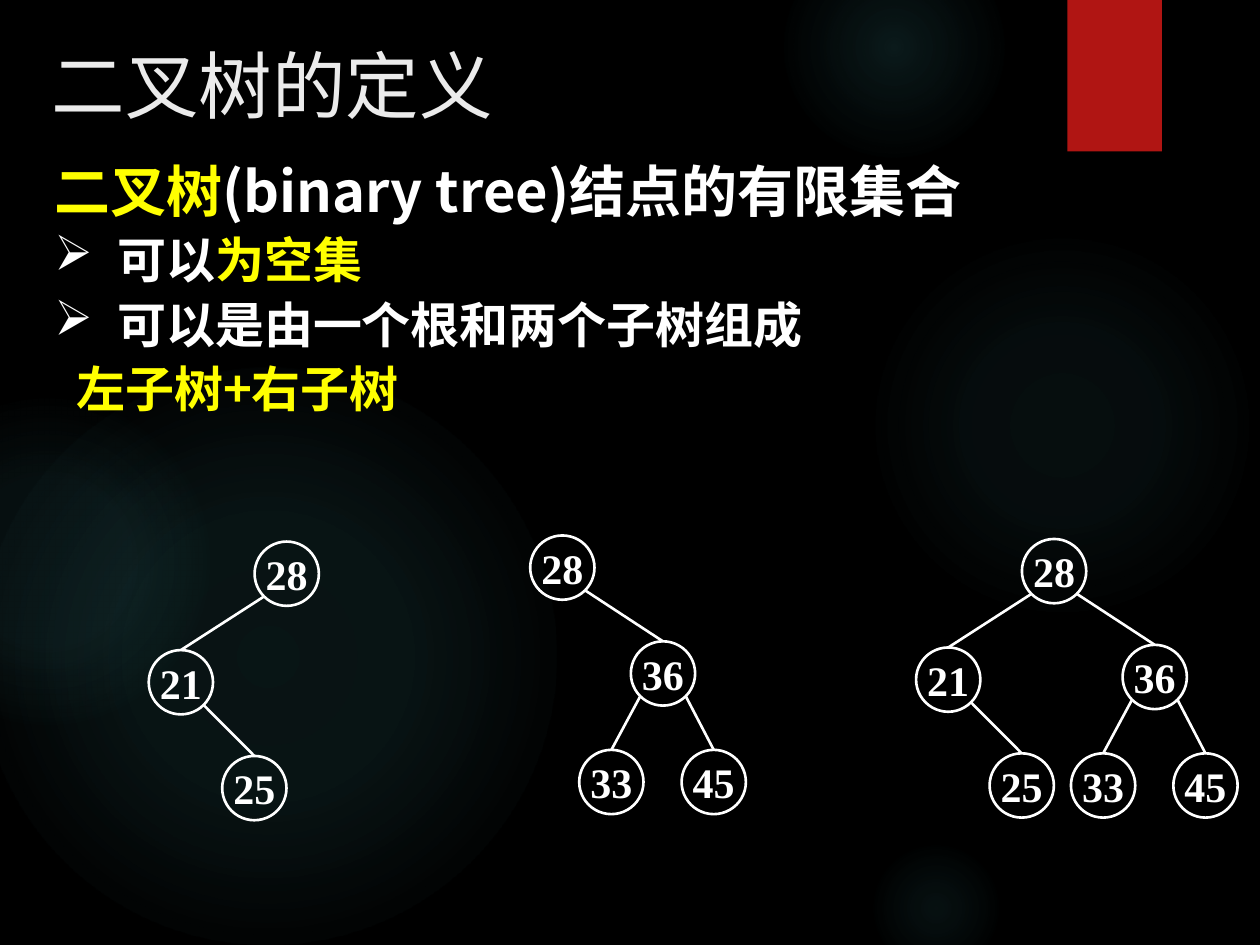
from dataclasses import dataclass
from math import sqrt

from lxml.etree import SubElement
from pptx import Presentation
from pptx.dml.color import RGBColor
from pptx.enum.shapes import MSO_CONNECTOR, MSO_SHAPE
from pptx.enum.text import MSO_ANCHOR, PP_ALIGN
from pptx.oxml import parse_xml
from pptx.oxml.ns import nsdecls, qn
from pptx.util import Pt

COLORS = {
    "background": "000000",
    "glow": "50B9C1",
    "ribbon": "B01513",
    "title": "EBEBEB",
    "text": "FFFFFF",
    "key": "FFFF00",
}
LATIN_FONT = "Times New Roman"
CHINESE_FONT = "Noto Sans CJK SC"
NODE_SIZE = 36.75
LINE_WIDTH = 1.5


@dataclass(frozen=True)
class Glow:
    left: float
    top: float
    size: float
    stops: tuple[tuple[int, int], ...]  # (position %, opacity %)


@dataclass(frozen=True)
class Line:
    runs: tuple[tuple[str, str], ...]  # (text, colour name)
    size: float
    bullet: bool = False
    indent: float = 0


@dataclass(frozen=True)
class Slot:
    """Place of a value relative to the root, and the value above it."""
    x: float
    y: float
    parent: int | None = None


@dataclass(frozen=True)
class Tree:
    left: float
    top: float
    values: tuple[int, ...]


GLOWS = (
    Glow(496, 132, 222, ((0, 7), (36, 6), (69, 0))),
    Glow(448, -36, 126, ((0, 14), (36, 7), (73, 0))),
    Glow(496, 480, 78, ((0, 9), (36, 5), (66, 0))),
    Glow(-12, 210, 330, ((0, 11), (36, 10), (75, 0))),
    Glow(-66, 228, 186, ((0, 8), (36, 8), (72, 0))),
)
TITLE = Line((("二叉树的定义", "title"),), 42)
DEFINITION = (
    Line((("二叉树", "key"), ("(binary tree)结点的有限集合", "text")), 32),
    Line((("可以", "text"), ("为空集", "key")), 28, bullet=True),
    Line((("可以是由一个根和两个子树组成", "text"),), 28, bullet=True),
    Line((("左子树+右子树", "key"),), 28, indent=12.5),
)
SLOTS = {
    28: Slot(0, 0),
    21: Slot(-60.5, 62, 28),
    36: Slot(57.5, 60.5, 28),
    25: Slot(-18.5, 122.5, 21),
    33: Slot(28, 122.5, 36),
    45: Slot(86.5, 122.5, 36),
}
TREES = (
    Tree(145.5, 309.5, (28, 21, 25)),
    Tree(303, 306, (28, 36, 33, 45)),
    Tree(584, 308, (28, 21, 36, 25, 33, 45)),
)


def color(name: str) -> RGBColor:
    return RGBColor.from_string(COLORS[name])


def set_font(font, size: float, latin: str, bold: bool) -> None:
    font.size, font.name, font.bold = Pt(size), latin, bold
    SubElement(font._element, qn("a:ea"), typeface=CHINESE_FONT)


def add_plain_shape(shapes, kind, left, top, width, height):
    shape = shapes.add_shape(kind, Pt(left), Pt(top), Pt(width), Pt(height))
    shape.shadow.inherit = False
    shape.fill.background()
    shape.line.fill.background()
    return shape


def add_glow(shapes, glow: Glow) -> None:
    """Add a circle whose colour fades out from its centre."""
    shape = add_plain_shape(shapes, MSO_SHAPE.OVAL, glow.left, glow.top, glow.size, glow.size)
    stops = "".join(
        f'<a:gs pos="{position * 1000}"><a:srgbClr val="{COLORS["glow"]}">'
        f'<a:alpha val="{opacity * 1000}"/></a:srgbClr></a:gs>'
        for position, opacity in glow.stops
    )
    gradient = parse_xml(
        f'<a:gradFill {nsdecls("a")} rotWithShape="1"><a:gsLst>{stops}</a:gsLst>'
        '<a:path path="circle"><a:fillToRect l="50000" t="50000" r="50000" b="50000"/>'
        "</a:path></a:gradFill>"
    )
    properties = shape._element.spPr
    properties.replace(properties.find(qn("a:noFill")), gradient)


def add_text(shapes, left, top, width, height):
    frame = shapes.add_textbox(Pt(left), Pt(top), Pt(width), Pt(height)).text_frame
    frame.word_wrap = True
    return frame


def write_line(paragraph, line: Line, latin: str, bold: bool) -> None:
    properties = paragraph._p.get_or_add_pPr()
    if line.bullet:
        properties.set("marL", str(Pt(36)))
        properties.set("indent", str(-Pt(36)))
        SubElement(properties, qn("a:buChar"), char="➢")
    elif line.indent:
        properties.set("marL", str(Pt(line.indent)))
    set_font(paragraph.font, line.size, latin, bold)
    for text, color_name in line.runs:
        run = paragraph.add_run()
        run.text = text
        run.font.color.rgb = color(color_name)


def add_node(shapes, value: int, left: float, top: float):
    node = add_plain_shape(shapes, MSO_SHAPE.OVAL, left, top, NODE_SIZE, NODE_SIZE)
    node.line.color.rgb = color("text")
    node.line.width = Pt(LINE_WIDTH)
    frame = node.text_frame
    frame.word_wrap = False
    frame.vertical_anchor = MSO_ANCHOR.MIDDLE
    paragraph = frame.paragraphs[0]
    paragraph.alignment = PP_ALIGN.CENTER
    write_line(paragraph, Line(((str(value), "text"),), 24), LATIN_FONT, True)
    return node


def add_edge(shapes, parent, child) -> None:
    """Join the parent's rim, 45 degrees below its side, to the child's top."""
    reach = NODE_SIZE / 2 / sqrt(2)
    side = 1 if child.left > parent.left else -1
    start_x = parent.left + Pt(NODE_SIZE / 2 + side * reach)
    start_y = parent.top + Pt(NODE_SIZE / 2 + reach)
    edge = shapes.add_connector(MSO_CONNECTOR.STRAIGHT, start_x, start_y, child.left, child.top)
    edge.end_connect(child, 0)
    edge.line.color.rgb = color("text")
    edge.line.width = Pt(LINE_WIDTH)
    SubElement(edge._element.spPr, qn("a:effectLst"))


def add_tree(slide, tree: Tree) -> None:
    shapes = slide.shapes.add_group_shape().shapes
    nodes = {
        value: add_node(shapes, value, tree.left + SLOTS[value].x, tree.top + SLOTS[value].y)
        for value in tree.values
    }
    for value, node in nodes.items():
        parent = SLOTS[value].parent
        if parent is not None:
            add_edge(shapes, nodes[parent], node)


def main() -> None:
    presentation = Presentation()
    presentation.slide_width, presentation.slide_height = Pt(720), Pt(540)
    slide = presentation.slides.add_slide(presentation.slide_layouts[6])
    slide.background.fill.solid()
    slide.background.fill.fore_color.rgb = color("background")

    for glow in GLOWS:
        add_glow(slide.shapes, glow)
    ribbon = add_plain_shape(slide.shapes, MSO_SHAPE.RECTANGLE, 610, 0, 54, 86.5)
    ribbon.fill.solid()
    ribbon.fill.fore_color.rgb = color("ribbon")

    definition = add_text(slide.shapes, 24, 82, 620, 162)
    for index, line in enumerate(DEFINITION):
        paragraph = definition.add_paragraph() if index else definition.paragraphs[0]
        paragraph.alignment = PP_ALIGN.JUSTIFY
        paragraph.line_spacing = 1.1
        write_line(paragraph, line, CHINESE_FONT, True)
    title = add_text(slide.shapes, 22.5, 19.5, 741, 110)
    write_line(title.paragraphs[0], TITLE, LATIN_FONT, False)

    for tree in TREES:
        add_tree(slide, tree)
    presentation.save("out.pptx")


if __name__ == "__main__":
    main()
